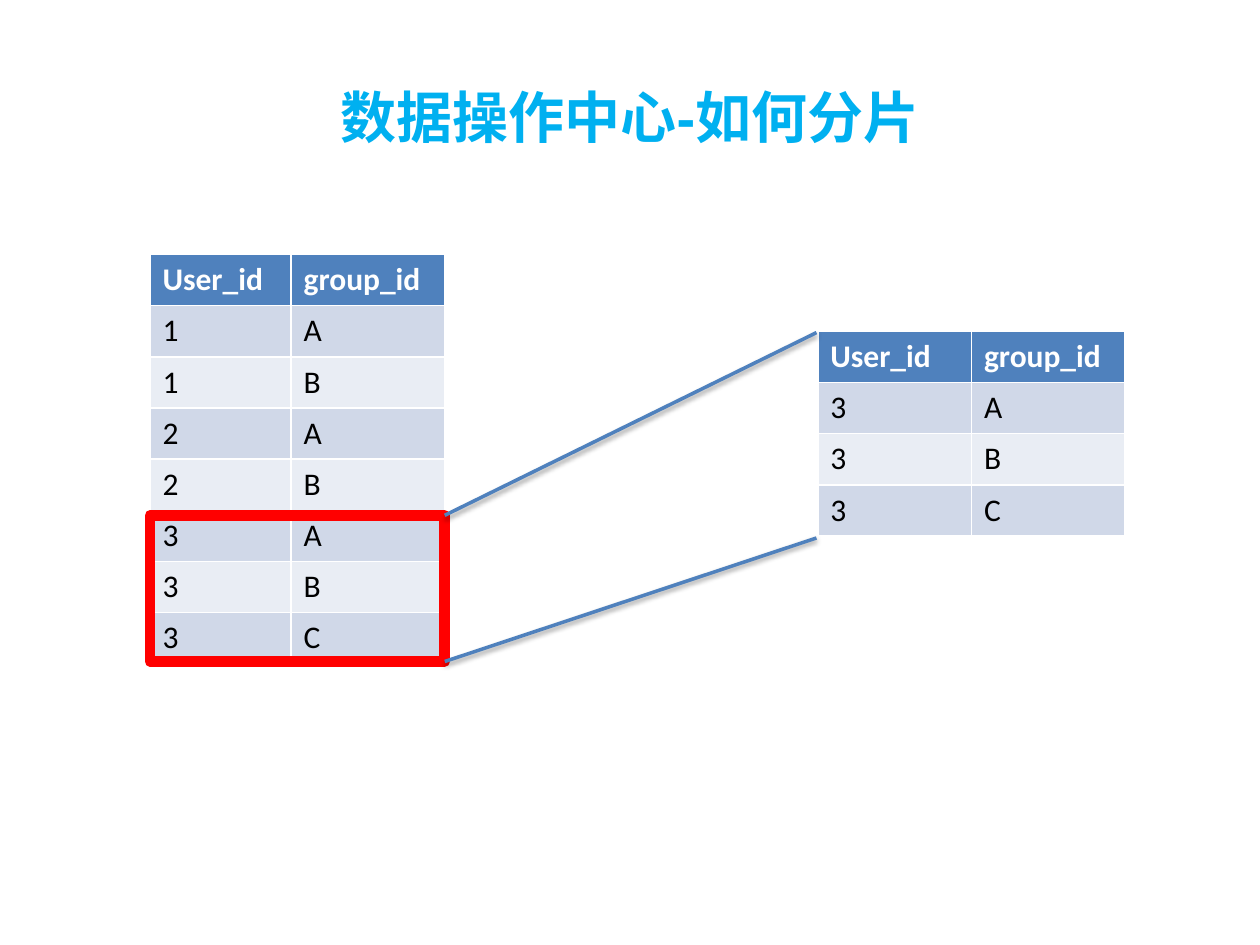
"""Build a slide that shows how one user's rows become a shard."""
from dataclasses import dataclass

from lxml import etree
from pptx import Presentation
from pptx import util as u
from pptx.dml.color import RGBColor
from pptx.enum import shapes, text
from pptx.oxml import ns

HUES = {"title": "00B0F0", "head": "4F81BD", "odd": "D0D8E8", "even": "E9EDF4",
        "white": "FFFFFF", "black": "000000", "mark": "FF0000"}
WIDE, HIGH = u.Inches(10), u.Inches(7.5)
COLS, ROWS = 100, 75
STEP = 4.06
HEAD = ("User_id", "group_id")
SHARD = (("3", "A"), ("3", "B"), ("3", "C"))
USERS = (("1", "A"), ("1", "B"), ("2", "A"), ("2", "B"), *SHARD)


@dataclass(frozen=True)
class Box:
    left: float
    top: float
    width: float
    height: float

    def emu(self) -> tuple[int, ...]:
        return (across(self.left), down(self.top),
                across(self.width), down(self.height))


@dataclass(frozen=True)
class Grid:
    left: float
    top: float
    widths: tuple[float, ...]
    rows: tuple[tuple[str, ...], ...]


@dataclass(frozen=True)
class Link:
    start: tuple[float, float]
    end: tuple[float, float]


TITLE = Box(5, 3, 90, 12.5)
MARK = Box(11.9, 40.9, 23.4, 11.6)
GRIDS = (Grid(11.9, 20.2, (11.2, 12.2), USERS),
         Grid(64.9, 26.3, (12.2, 12.2), SHARD))
EDGE = MARK.left + MARK.width
LINKS = (Link((EDGE, MARK.top), (64.8, 26.4)),
         Link((EDGE, MARK.top + MARK.height), (64.8, 42.7)))


def across(cols: float) -> int:
    return round(WIDE * cols / COLS)


def down(rows: float) -> int:
    return round(HIGH * rows / ROWS)


def tint(name: str) -> RGBColor:
    return RGBColor.from_string(HUES[name])


def write(frame, words: str, *, size: float = 18, font: str = "Calibri",
          hue: str = "black", bold: bool = False,
          align=text.PP_ALIGN.LEFT) -> None:
    line = frame.paragraphs[0]
    line.alignment = align
    run = line.add_run()
    run.text = words
    run.font.size = u.Pt(size)
    run.font.name = font
    run.font.bold = bold
    run.font.color.rgb = tint(hue)


def add_title(slide, words: str) -> None:
    frame = slide.shapes.add_textbox(*TITLE.emu()).text_frame
    frame.word_wrap = True
    frame.vertical_anchor = text.MSO_ANCHOR.MIDDLE
    write(frame, words, size=32, font="Arial", hue="title", bold=True,
          align=text.PP_ALIGN.CENTER)


def add_grid(slide, grid: Grid) -> None:
    lines = (HEAD, *grid.rows)
    area = Box(grid.left, grid.top, sum(grid.widths), STEP * len(lines))
    table = slide.shapes.add_table(len(lines), len(HEAD), *area.emu()).table
    for col, width in zip(table.columns, grid.widths):
        col.width = across(width)
    for r, line in enumerate(lines):
        table.rows[r].height = down(STEP)
        band = "head" if r == 0 else "odd" if r % 2 else "even"
        for c, words in enumerate(line):
            cell = table.cell(r, c)
            cell.fill.solid()
            cell.fill.fore_color.rgb = tint(band)
            write(cell.text_frame, words, bold=r == 0,
                  hue="white" if r == 0 else "black")


def add_mark(slide, box: Box) -> None:
    mark = slide.shapes.add_shape(shapes.MSO_SHAPE.RECTANGLE, *box.emu())
    mark.shadow.inherit = False
    mark.fill.background()
    mark.line.color.rgb = tint("mark")
    mark.line.width = u.Pt(6)


def add_link(slide, link: Link) -> None:
    (x1, y1), (x2, y2) = link.start, link.end
    line = slide.shapes.add_connector(
        shapes.MSO_CONNECTOR.STRAIGHT, across(x1), down(y1), across(x2), down(y2))
    line.line.color.rgb = tint("head")
    line.line.width = u.Pt(2)
    fx = etree.SubElement(line._element.spPr, ns.qn("a:effectLst"))
    shade = etree.SubElement(fx, ns.qn("a:outerShdw"), blurRad=str(u.Pt(3.1)),
                             dist=str(u.Pt(1.6)), dir="5400000", rotWithShape="0")
    tone = etree.SubElement(shade, ns.qn("a:srgbClr"), val=HUES["black"])
    etree.SubElement(tone, ns.qn("a:alpha"), val="38000")


def main() -> None:
    deck = Presentation()
    deck.slide_width, deck.slide_height = WIDE, HIGH
    slide = deck.slides.add_slide(deck.slide_layouts[6])
    add_title(slide, "数据操作中心-如何分片")
    users, shard = GRIDS
    add_grid(slide, users)
    add_mark(slide, MARK)
    add_grid(slide, shard)
    for link in LINKS:
        add_link(slide, link)
    deck.save("out.pptx")


if __name__ == "__main__":
    main()
